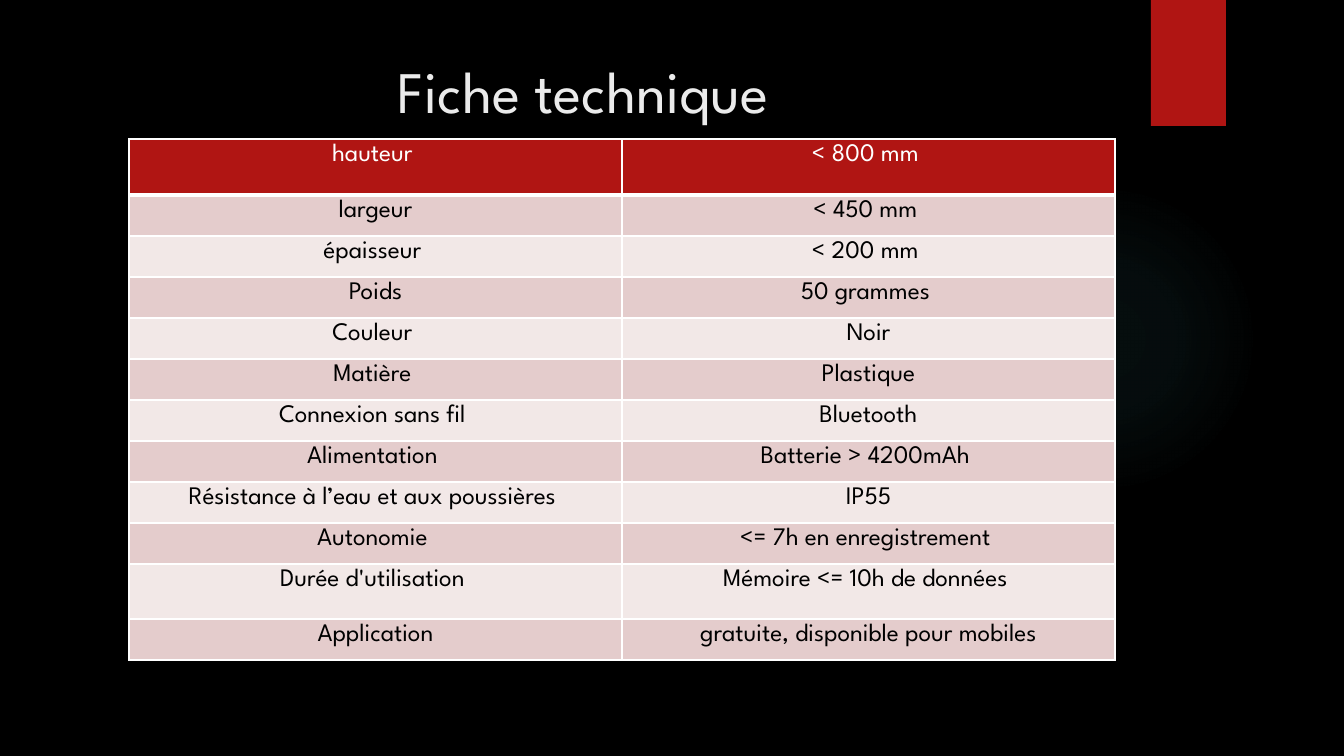
from dataclasses import dataclass

from pptx import Presentation
from pptx.dml.color import RGBColor
from pptx.enum.shapes import MSO_SHAPE
from pptx.enum.text import MSO_ANCHOR, PP_ALIGN
from pptx.oxml import parse_xml
from pptx.oxml.ns import nsdecls, qn
from pptx.util import Emu, Pt

RECTANGLE, ELLIPSE = MSO_SHAPE.RECTANGLE, MSO_SHAPE.OVAL
CENTER, TOP = PP_ALIGN.CENTER, MSO_ANCHOR.TOP
EMU_PER_PX = 914400 / 100.8


@dataclass(frozen=True)
class Theme:
    background: str = "000000"
    accent: str = "B01513"
    glow: str = "50B9C1"
    title: str = "EBEBEB"
    header_text: str = "FFFFFF"
    body_text: str = "000000"
    border: str = "FFFFFF"
    bands: tuple = ("E4CCCC", "F2E8E7")
    font: str = "League Spartan"
    title_size: int = 42
    table_size: int = 18
    thin: int = 1
    thick: int = 3


THEME = Theme()
GLOW_STOPS = ((0, 7), (36, 6), (69, 0))  # position %, opacity %

# Trailing spaces count in the centring of each line
SPECIFICATIONS = (
    ("hauteur ", "< 800 mm "),
    ("largeur", "< 450 mm "),
    ("épaisseur ", "< 200 mm "),
    ("Poids", "50 grammes "),
    ("Couleur ", "Noir"),
    ("Matière ", "Plastique"),
    ("Connexion sans fil ", "Bluetooth"),
    ("Alimentation ", "Batterie > 4200mAh "),
    ("Résistance à l’eau et aux poussières ", "IP55"),
    ("Autonomie ", "<= 7h en enregistrement "),
    ("Durée d'utilisation ", "Mémoire <= 10h de données "),
    ("Application", "gratuite, disponible pour mobiles"),
)
ROW_HEIGHT = 41
TALL_ROWS = {0: 56, 10: 55}


def px(length):
    return Emu(round(length * EMU_PER_PX))


def box_px(*box):
    return [px(length) for length in box]


def write_text(text_frame, text, *, size, color):
    paragraph = text_frame.paragraphs[0]
    paragraph.alignment = CENTER
    run = paragraph.add_run()
    run.text = text
    run.font.name = THEME.font
    run.font.size = Pt(size)
    run.font.color.rgb = RGBColor.from_string(color)


def add_plain_shape(slide, kind, box):
    shape = slide.shapes.add_shape(kind, *box_px(*box))
    shape.shadow.inherit = False
    shape.line.fill.background()
    return shape


def add_glow(slide, box):
    shape = add_plain_shape(slide, ELLIPSE, box)
    stops = "".join(
        f'<a:gs pos="{position * 1000}"><a:srgbClr val="{THEME.glow}">'
        f'<a:alpha val="{opacity * 1000}"/></a:srgbClr></a:gs>'
        for position, opacity in GLOW_STOPS
    )
    gradient = parse_xml(
        f'<a:gradFill {nsdecls("a")} rotWithShape="1"><a:gsLst>{stops}</a:gsLst>'
        '<a:path path="circle"><a:fillToRect l="50000" t="50000" r="50000" b="50000"/>'
        "</a:path></a:gradFill>"
    )
    shape.fill.background()
    properties = shape._element.spPr
    properties.replace(properties.find(qn("a:noFill")), gradient)


def add_ribbon(slide, box):
    shape = add_plain_shape(slide, RECTANGLE, box)
    shape.fill.solid()
    shape.fill.fore_color.rgb = RGBColor.from_string(THEME.accent)


def add_title(slide, box):
    text_frame = slide.shapes.add_textbox(*box_px(*box)).text_frame
    text_frame.word_wrap = True
    text_frame.vertical_anchor = TOP
    text_frame.margin_top = px(5)
    write_text(text_frame, "Fiche technique ", size=THEME.title_size, color=THEME.title)


def set_borders(cell, **widths):
    properties = cell._tc.get_or_add_tcPr()
    for side in "LRTB":
        width = Pt(widths.get(side, THEME.thin))
        properties.append(parse_xml(
            f'<a:ln{side} {nsdecls("a")} w="{width}"><a:solidFill>'
            f'<a:srgbClr val="{THEME.border}"/></a:solidFill></a:ln{side}>'
        ))


def format_cell(cell, text, row_index):
    # The thick rule under the header belongs to both rows that touch it
    thick_sides = {0: "B", 1: "T"}.get(row_index, "")
    set_borders(cell, **{side: THEME.thick for side in thick_sides})
    header = row_index == 0
    fill = THEME.accent if header else THEME.bands[(row_index - 1) % 2]
    cell.fill.solid()
    cell.fill.fore_color.rgb = RGBColor.from_string(fill)
    cell.vertical_anchor = TOP
    write_text(cell.text_frame, text, size=THEME.table_size,
               color=THEME.header_text if header else THEME.body_text)


def add_specification_table(slide, left, top, width):
    heights = [TALL_ROWS.get(index, ROW_HEIGHT) for index in range(len(SPECIFICATIONS))]
    columns = len(SPECIFICATIONS[0])
    frame = slide.shapes.add_table(
        len(heights), columns, *box_px(left, top, width, sum(heights)))
    table = frame.table
    for column in table.columns:
        column.width = px(width / columns)
    for row_index, (texts, height) in enumerate(zip(SPECIFICATIONS, heights)):
        table.rows[row_index].height = px(height)
        for column_index, text in enumerate(texts):
            format_cell(table.cell(row_index, column_index), text, row_index)


def build_slide(presentation):
    slide = presentation.slides.add_slide(presentation.slide_layouts[6])
    slide.background.fill.solid()
    slide.background.fill.fore_color.rgb = RGBColor.from_string(THEME.background)

    # Decoration
    add_glow(slide, (949, 184, 310, 310))
    add_ribbon(slide, (1151, 0, 75, 126))

    # Content
    add_title(slide, (72, 50, 1037, 154))
    add_specification_table(slide, 129, 139, 986)


def main():
    presentation = Presentation()
    presentation.slide_width, presentation.slide_height = box_px(1344, 756)
    build_slide(presentation)
    presentation.save("out.pptx")


if __name__ == "__main__":
    main()
